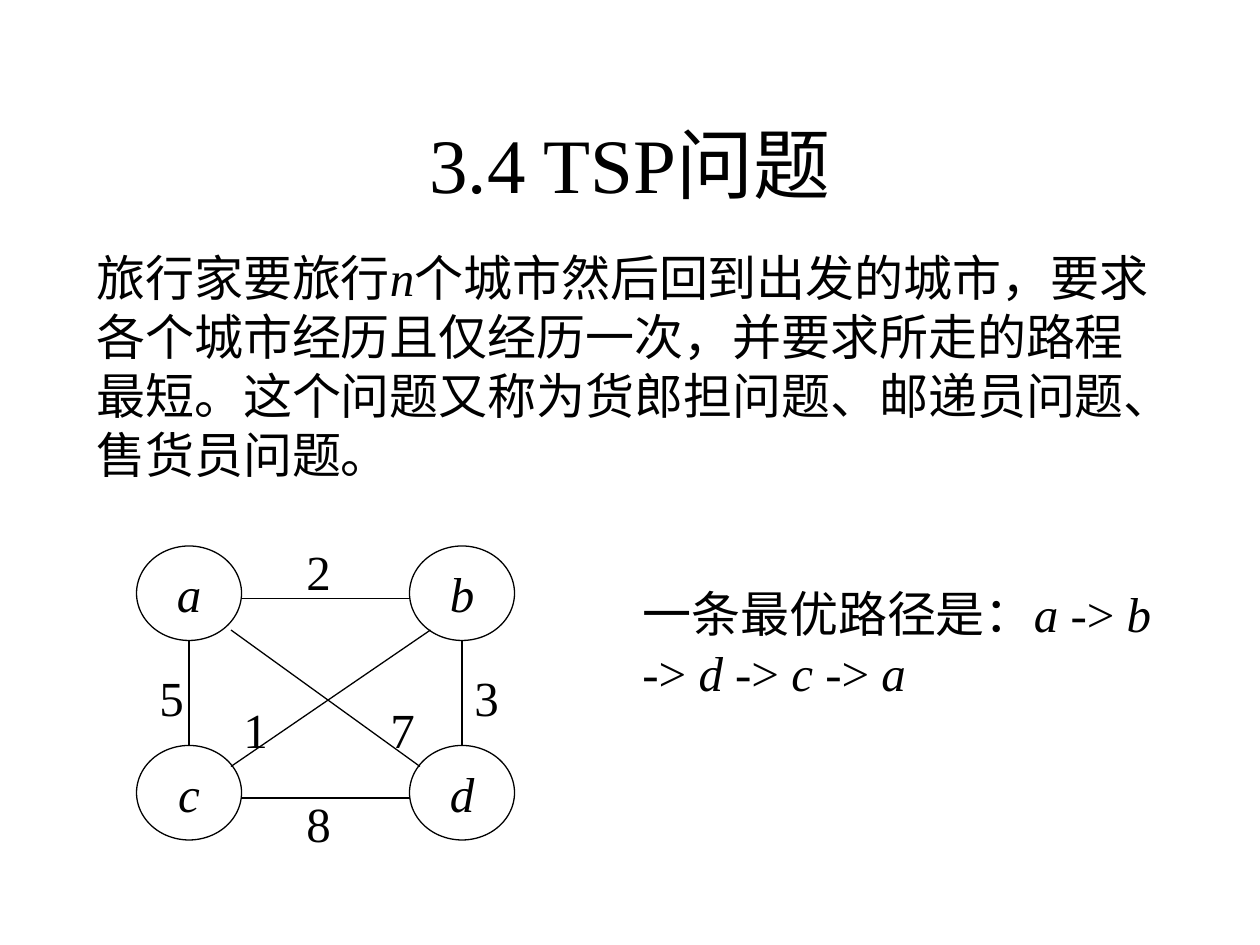
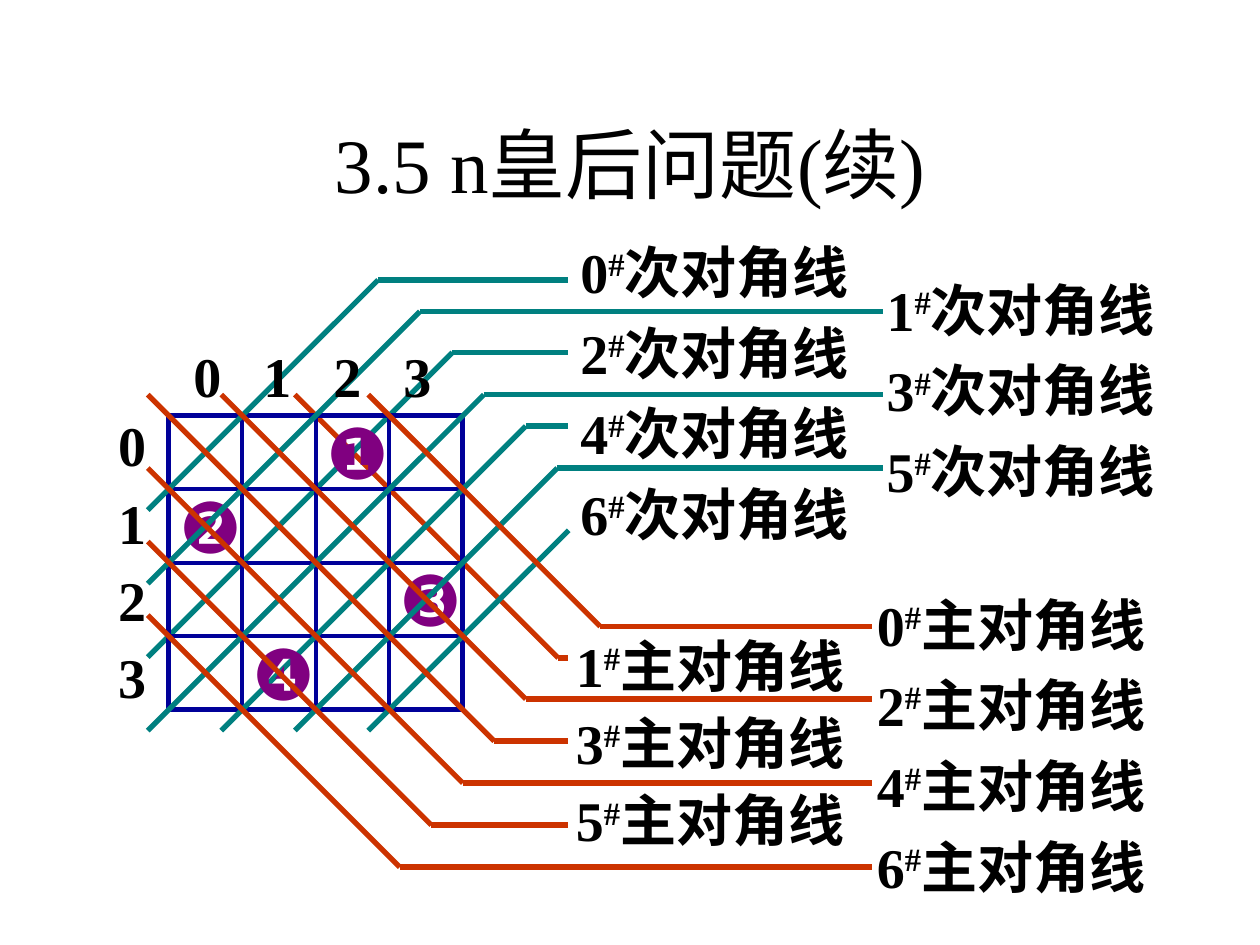
import pptx
import pptx.util
import pptx.dml.color
import pptx.enum.shapes
import pptx.enum.text
import pptx.oxml.xmlchemy

Pt = pptx.util.Pt
ALIGN = pptx.enum.text.PP_ALIGN
ANCHOR = pptx.enum.text.MSO_ANCHOR
FIT = pptx.enum.text.MSO_AUTO_SIZE

COLORS = {
    "text": "000000",
    "paper": "FFFFFF",
    "grid": "000099",
    "queen": "800080",
    "secondary": "008080",
    "main": "CC3300",
}
SERIF = "Times New Roman"
TITLE = {"name": SERIF, "size": Pt(44)}
BODY = {"name": SERIF, "size": Pt(28)}
LABEL = {"name": SERIF, "size": Pt(32), "bold": True}
QUEEN = {"name": "Arial", "size": Pt(40)}
SPACED = {"space_before": Pt(17.5)}
CENTERED = {"alignment": ALIGN.CENTER}

CELL = 42
COUNT = 4
TAIL = 12
DIAGONALS = {
    "secondary": {
        "name": "次对角线",
        "rise": -1,
        "bends": [-77.5, -59.5, -36, -12, 6, 30, 65.5],
        "ends": (228, 408),
    },
    "main": {
        "name": "主对角线",
        "rise": 1,
        "bends": [120.5, 138.5, 162, 186, 210, 234, 258],
        "ends": (402, 228),
    },
}


def rgb(color):
    """Return the colour object for a named colour."""
    return pptx.dml.color.RGBColor.from_string(COLORS[color])


def apply(target, values):
    """Set every attribute in the dict of values."""
    for name, value in values.items():
        setattr(target, name, value)


def write(frame, lines, font, color="text", layout=None, accent="italic"):
    """Write one paragraph per line, with the accent on text between bars."""
    for number, line in enumerate(lines):
        para = frame.add_paragraph() if number else frame.paragraphs[0]
        apply(para, layout or {})
        for position, piece in enumerate(line.split("|")):
            if not piece:
                continue
            span = para.add_run()
            span.text = piece
            apply(span.font, font)
            span.font.color.rgb = rgb(color)
            if position % 2 and accent == "italic":
                span.font.italic = True
            elif position % 2:
                span.font._element.set("baseline", "30000")


def add_text(page, box, lines, font, wrap=True, **style):
    """Add a text box and return it."""
    shape = page.shapes.add_textbox(*map(Pt, box))
    apply(shape.text_frame, {"word_wrap": wrap, "auto_size": FIT.SHAPE_TO_FIT_TEXT})
    write(shape.text_frame, lines, font, **style)
    return shape


def add_line(page, origin, start, end, color="text", width=0.75):
    """Draw a straight line between two points relative to the origin."""
    left, top = origin
    ends = (left + start[0], top + start[1], left + end[0], top + end[1])
    line = page.shapes.add_connector(
        pptx.enum.shapes.MSO_CONNECTOR.STRAIGHT, *map(Pt, ends)
    )
    line.line.color.rgb = rgb(color)
    line.line.width = Pt(width)
    line._element.spPr.append(pptx.oxml.xmlchemy.OxmlElement("a:effectLst"))


def add_page(deck, title):
    """Add a title-only slide with the shared title style."""
    page = deck.slides.add_slide(deck.slide_layouts[5])
    shape = page.shapes.title
    box = {"left": Pt(54), "top": Pt(48), "width": Pt(612), "height": Pt(90)}
    apply(shape, box)
    apply(shape.text_frame, {"vertical_anchor": ANCHOR.MIDDLE, "auto_size": FIT.NONE})
    write(shape.text_frame, [title], TITLE, layout=CENTERED)
    return page


def draw_node(page, box, name):
    """Draw a city as a named ellipse."""
    node = page.shapes.add_shape(
        pptx.enum.shapes.MSO_SHAPE.OVAL, *map(Pt, box)
    )
    node.shadow.inherit = False
    node.fill.solid()
    node.fill.fore_color.rgb = rgb("paper")
    node.line.color.rgb = rgb("text")
    node.line.width = Pt(0.75)
    apply(node.text_frame, {"word_wrap": False, "vertical_anchor": ANCHOR.MIDDLE})
    write(node.text_frame, [f"|{name}|"], BODY, layout=CENTERED)


def draw_graph(page, origin):
    """Draw the four cities, the roads between them and their lengths."""
    left, top = origin
    for number, name in enumerate("abcd"):
        row, column = divmod(number, 2)
        draw_node(page, (left + 156 * column, top + 6 + 114 * row, 60, 54), name)
    roads = [
        ("2", (60, 36), (156, 36), (90, 0)),
        ("5", (30, 60), (30, 120), (6, 72)),
        ("8", (60, 150), (156, 150), (90, 144)),
        ("3", (186, 60), (186, 120), (186, 72)),
        ("7", (54, 54), (162, 132), (138, 90)),
        ("1", (54, 132), (168, 54), (54, 90)),
    ]
    for length, start, end, place in roads:
        add_line(page, origin, start, end)
        box = (left + place[0], top + place[1], 36, 41)
        add_text(page, box, [length], BODY, layout=SPACED)


def draw_grid(page, origin):
    """Draw the lines of the chessboard."""
    side = CELL * COUNT
    for step in range(COUNT + 1):
        offset = step * CELL
        width = 3 if step in (0, COUNT) else 2.25
        add_line(page, origin, (0, offset), (side, offset), "grid", width)
        add_line(page, origin, (offset, 0), (offset, side), "grid", width)


def draw_queen(page, origin, mark, column, row):
    """Put a numbered queen on a cell of the board."""
    left, top = origin
    box = (left + column * CELL - 1, top + row * CELL - 6.75, 50.5, 55.5)
    add_text(page, box, [mark], QUEEN, wrap=False, color="queen")


def draw_diagonal(page, origin, kind, number):
    """Draw one diagonal and the level line to its label."""
    diagonal = DIAGONALS[kind]
    last = COUNT - 1
    before, after = max(last - number, 0), max(number - last, 0)
    if kind == "main":
        start = (before * CELL - TAIL, after * CELL - TAIL)
    else:
        start = (after * CELL - TAIL, (COUNT - before) * CELL + TAIL)
    height = diagonal["bends"][number]
    bend = (start[0] + diagonal["rise"] * (height - start[1]), height)
    end = (diagonal["ends"][number % 2], height)
    add_line(page, origin, start, bend, kind, 3)
    if end[0] - bend[0] > 1:
        add_line(page, origin, bend, end, kind, 3)


def draw_labels(page, box, kind, first, spacing):
    """List the names of every second diagonal of a kind."""
    name = DIAGONALS[kind]["name"]
    lines = [f"{number}|#|{name}" for number in range(first, 2 * COUNT - 1, 2)]
    add_text(page, box, lines, LABEL, wrap=False,
             layout={"line_spacing": spacing}, accent="raised")


def draw_indexes(page, origin):
    """Number the columns and rows of the board."""
    left, top = origin
    digits = [str(number) for number in range(COUNT)]
    header = add_text(page, (left + 7, top - 46, 166, 46), ["\t".join(digits)], LABEL)
    stops = pptx.oxml.xmlchemy.OxmlElement("a:tabLst")
    for step in range(1, COUNT):
        stop = pptx.oxml.xmlchemy.OxmlElement("a:tab")
        stop.set("pos", str(int(Pt(40 * step))))
        stop.set("algn", "l")
        stops.append(stop)
    header.text_frame.paragraphs[0]._p.get_or_add_pPr().append(stops)
    add_text(page, (left - 36, top - 12, 30, 184), digits, LABEL, wrap=False,
             layout={"line_spacing": 1.15})


def draw_board(page, origin):
    """Draw the board, queens, diagonals and their labels."""
    left, top = origin
    draw_diagonal(page, origin, "main", 1)
    draw_diagonal(page, origin, "secondary", 2)
    draw_grid(page, origin)
    for mark, column, row in (("❶", 2, 0), ("❷", 0, 1), ("❸", 3, 2)):
        draw_queen(page, origin, mark, column, row)
    for number in (0, 1, 3, 4, 5, 6):
        draw_diagonal(page, origin, "secondary", number)
    for number in (0, 2, 4, 6):
        draw_diagonal(page, origin, "main", number)
    draw_queen(page, origin, "❹", 1, 3)
    for number in (3, 5):
        draw_diagonal(page, origin, "main", number)
    labels = [
        ((228, -113), 191.5, "secondary", 0, 1.2),
        ((403, -91.5), 145.5, "secondary", 1, 1.2),
        ((397.5, 88.5), 191.5, "main", 0, 1.2),
        ((225.5, 114), 139.5, "main", 1, 1.15),
    ]
    for (across, down), height, kind, first, spacing in labels:
        box = (left + across, top + down, 175.5, height)
        draw_labels(page, box, kind, first, spacing)
    draw_indexes(page, origin)


def build_salesman(deck):
    """Build the slide on the travelling salesman problem."""
    page = add_page(deck, "3.4 TSP问题")
    problem = (
        "旅行家要旅行|n|个城市然后回到出发的城市，要求各个城市经历且仅经历一次，"
        "并要求所走的路程最短。这个问题又称为货郎担问题、邮递员问题、售货员问题。"
    )
    add_text(page, (48, 138, 624, 142), [problem], BODY, layout=SPACED)
    draw_graph(page, (78, 306))
    tour = " -> ".join(f"|{city}|" for city in "abdca")
    add_text(page, (360, 330, 312, 75), ["一条最优路径是：" + tour], BODY, layout=SPACED)


def build_queens(deck):
    """Build the slide on the n queens problem."""
    page = add_page(deck, "3.5 n皇后问题(续)")
    draw_board(page, (96.5, 237.5))


def main():
    """Build and save the deck."""
    deck = pptx.Presentation()
    apply(deck, {"slide_width": Pt(720), "slide_height": Pt(540)})
    build_salesman(deck)
    build_queens(deck)
    deck.save("out.pptx")


if __name__ == "__main__":
    main()
